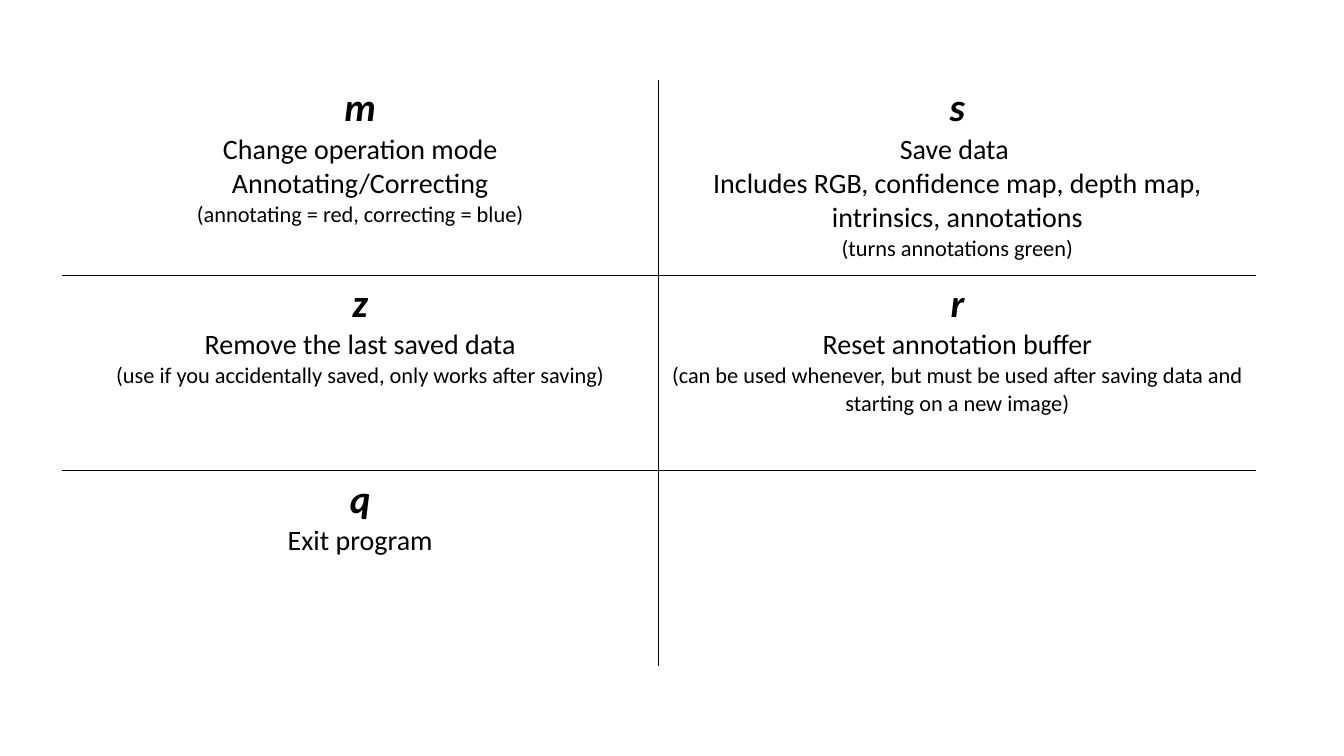
import pptx
import pptx.dml.color
import pptx.enum.text
import pptx.oxml.ns
import pptx.util
from lxml import etree

Pt = pptx.util.Pt

BLACK = "000000"
FONT = "Calibri"
KEY_SIZE, ACTION_SIZE, NOTE_SIZE = 28, 20, 16
LEFT, TOP = 44, 56.8
COLUMN_WIDTH, ROW_HEIGHT = 426.6, 139.7

# Each command: key, action lines, note
COMMANDS = [
    [
        ("m", ["Change operation mode", "Annotating/Correcting"],
         "(annotating = red, correcting = blue)"),
        ("s", ["Save data ",
               "Includes RGB, confidence map, depth map, intrinsics, annotations"],
         "(turns annotations green)"),
    ],
    [
        ("z", ["Remove the last saved data"],
         "(use if you accidentally saved, only works after saving)"),
        ("r", ["Reset annotation buffer"],
         "(can be used whenever, but must be used after saving data "
         "and starting on a new image)"),
    ],
    [("q", ["Exit program"], None), None],
]


def rgb(hex_color):
    return pptx.dml.color.RGBColor.from_string(hex_color)


def write_command(cell, key, actions, note):
    lines = [(key, KEY_SIZE)] + [(action, ACTION_SIZE) for action in actions]
    if note:
        lines.append((note, NOTE_SIZE))
    cell.text_frame.text = "\n".join(text for text, size in lines)
    for para, (text, size) in zip(cell.text_frame.paragraphs, lines):
        para.alignment = pptx.enum.text.PP_ALIGN.CENTER
        font = para.runs[0].font
        font.name = FONT
        font.size = Pt(size)
        font.bold = font.italic = size == KEY_SIZE
        font.color.rgb = rgb(BLACK)


def set_borders(cell, visible_sides):
    """Draw the given sides of the cell in black and hide the others."""
    qn = pptx.oxml.ns.qn
    properties = cell._tc.get_or_add_tcPr()
    for side in "LRTB":
        line = etree.SubElement(properties, qn(f"a:ln{side}"), w=str(Pt(1)))
        if side in visible_sides:
            fill = etree.SubElement(line, qn("a:solidFill"))
            etree.SubElement(fill, qn("a:srgbClr"), val=BLACK)
        else:
            etree.SubElement(line, qn("a:noFill"))


def inner_sides(row, column, row_count, column_count):
    """Name the sides of a cell that touch another cell."""
    touching = {
        "L": column > 0,
        "R": column < column_count - 1,
        "T": row > 0,
        "B": row < row_count - 1,
    }
    return [side for side, touches in touching.items() if touches]


def add_command_table(slide, commands):
    row_count, column_count = len(commands), len(commands[0])
    table = slide.shapes.add_table(
        row_count, column_count, Pt(LEFT), Pt(TOP),
        Pt(COLUMN_WIDTH * column_count), Pt(ROW_HEIGHT * row_count)).table
    table.first_row = table.horz_banding = False
    for column in table.columns:
        column.width = Pt(COLUMN_WIDTH)
    for row in table.rows:
        row.height = Pt(ROW_HEIGHT)
    for row, row_commands in enumerate(commands):
        for column, command in enumerate(row_commands):
            cell = table.cell(row, column)
            set_borders(cell, inner_sides(row, column, row_count, column_count))
            cell.fill.background()
            if command:
                write_command(cell, *command)


def main():
    deck = pptx.Presentation()
    deck.slide_width, deck.slide_height = Pt(960), Pt(540)
    slide = deck.slides.add_slide(deck.slide_layouts[6])
    add_command_table(slide, COMMANDS)
    deck.save("out.pptx")


if __name__ == "__main__":
    main()
